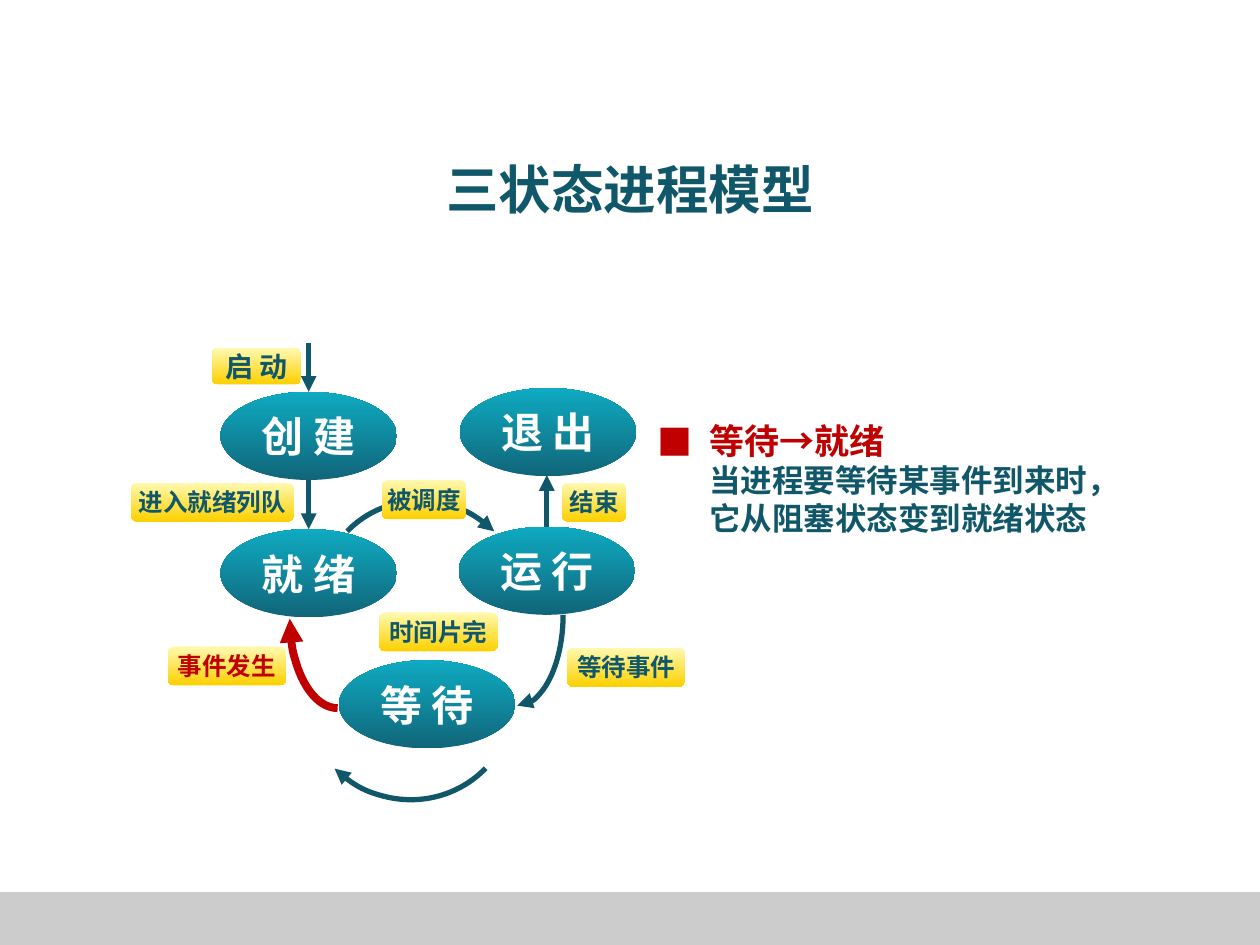
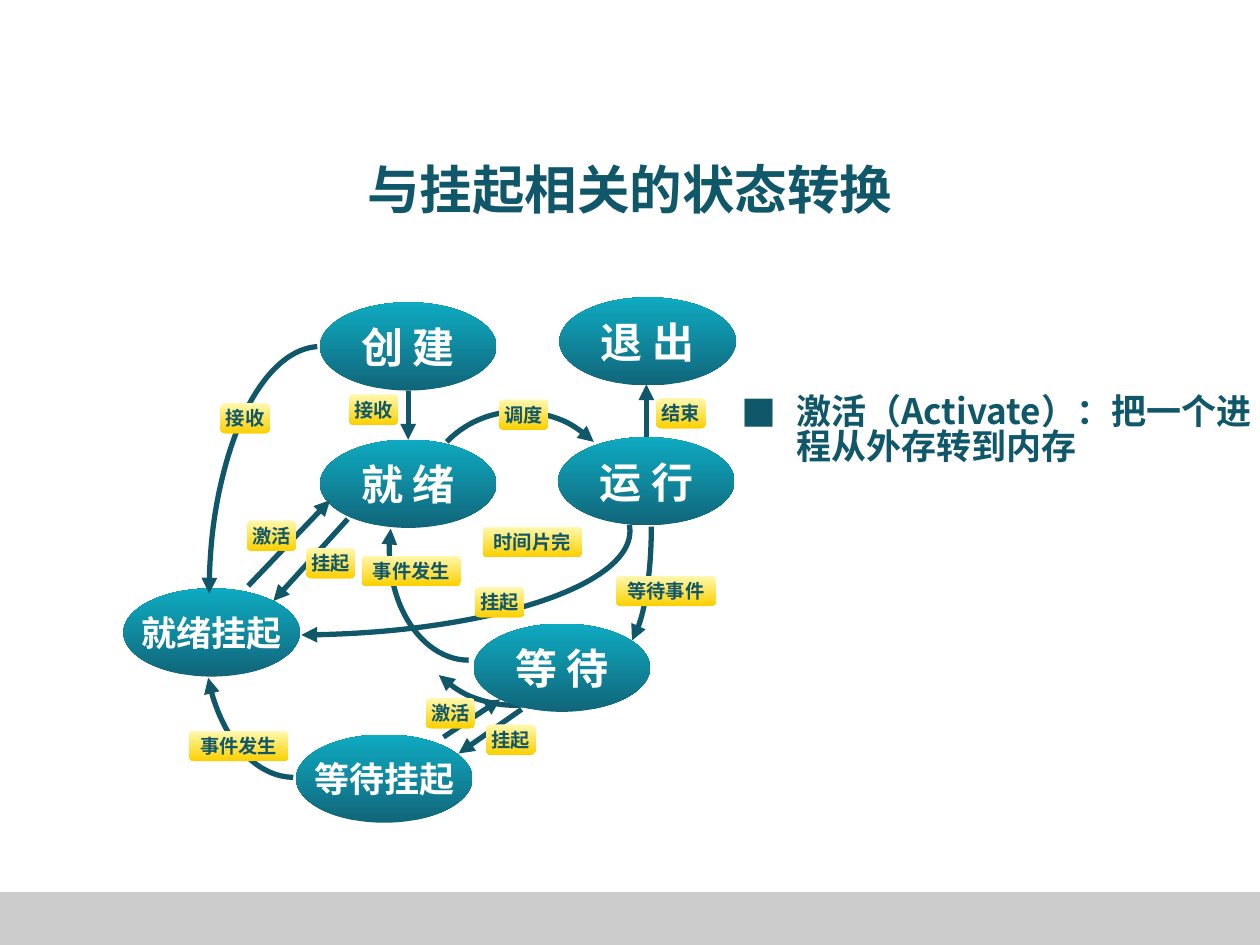
import lxml.etree
import pptx
import pptx.dml.color
import pptx.enum.shapes
import pptx.enum.text
import pptx.oxml.ns
import pptx.util

Inches, Pt = pptx.util.Inches, pptx.util.Pt
SHAPE = pptx.enum.shapes.MSO_SHAPE
ALIGN = pptx.enum.text.PP_ALIGN
MIDDLE = pptx.enum.text.MSO_ANCHOR.MIDDLE
qn = pptx.oxml.ns.qn


def rgb(value):
    return pptx.dml.color.RGBColor.from_string(value)


def add_element(parent, tag, **attributes):
    return lxml.etree.SubElement(parent, qn(tag), attributes)


class StateDiagram:
    """Shared style plus the slide being drawn."""

    FONT = "Noto Sans CJK SC"
    BULLET_FONT = "Noto Sans CJK JP"
    TEAL, RED, WHITE, BAND = "11576A", "C00000", "FFFFFF", "CCCCCC"
    OVAL_STOPS = ((0, "116579"), (77, "0F9BB1"), (100, "0EABC2"))
    LABEL_STOPS = ((0, "FFF9B1"), (100, "FDD000"))
    UP, DOWN = 270, 90
    OVAL_WIDTH, OVAL_HEIGHT = 1.4, 0.7

    def __init__(self, presentation):
        self.presentation = presentation
        self.slide = None

    def new_slide(self, title):
        layout = self.presentation.slide_layouts[5]
        self.slide = self.presentation.slides.add_slide(layout)
        band = self.shape(SHAPE.RECTANGLE, (0, 7.08, 10, 0.42))
        band.fill.solid()
        band.fill.fore_color.rgb = rgb(self.BAND)
        band.line.fill.background()
        heading = self.slide.shapes.title
        heading.left, heading.top = Inches(0.75), Inches(1.04)
        heading.width, heading.height = Inches(8.5), Inches(0.92)
        heading.text_frame.vertical_anchor = MIDDLE
        heading.text_frame.text = title
        self.style(heading.text_frame.paragraphs[0], 30, self.TEAL, ALIGN.CENTER)

    def style(self, paragraph, size, color, alignment=ALIGN.LEFT):
        paragraph.alignment = alignment
        font = paragraph.font
        font.size, font.bold, font.name = Pt(size), True, self.FONT
        font.color.rgb = rgb(color)
        defaults = paragraph._p.pPr.find(qn("a:defRPr"))
        add_element(defaults, "a:ea", typeface=self.FONT)

    def shape(self, kind, box):
        shape = self.slide.shapes.add_shape(kind, *map(Inches, box))
        shape.shadow.inherit = False
        return shape

    def gradient(self, shape, stops, direction):
        shape.line.fill.background()
        fill = lxml.etree.Element(qn("a:gradFill"), rotWithShape="1")
        stop_list = add_element(fill, "a:gsLst")
        for position, color in stops:
            stop = add_element(stop_list, "a:gs", pos=str(position * 1000))
            add_element(stop, "a:srgbClr", val=color)
        add_element(fill, "a:lin", ang=str(direction * 60000), scaled="1")
        shape._element.spPr.find(qn("a:prstGeom")).addnext(fill)

    def caption(self, shape, text, size, color):
        """Centre one unwrapped line of text in a shape."""
        frame = shape.text_frame
        frame.word_wrap = False
        frame.vertical_anchor = MIDDLE
        frame.margin_left = frame.margin_right = 0
        frame.margin_top = frame.margin_bottom = 0
        frame.text = text
        self.style(frame.paragraphs[0], size, color, ALIGN.CENTER)

    def state(self, text, left, top, size=24):
        oval = self.shape(SHAPE.OVAL, (left, top, self.OVAL_WIDTH, self.OVAL_HEIGHT))
        self.gradient(oval, self.OVAL_STOPS, self.UP)
        self.caption(oval, text, size, self.WHITE)
        return oval

    def label(self, text, box, size, color=TEAL):
        plate = self.shape(SHAPE.ROUNDED_RECTANGLE, box)
        self.gradient(plate, self.LABEL_STOPS, self.DOWN)
        self.caption(plate, text, size, color)

    def arrow_line(self, shape, color, width, end):
        shape.line.color.rgb = rgb(color)
        shape.line.width = Pt(width)
        add_element(shape.line._get_or_add_ln(), f"a:{end}End", type="triangle")

    def arc(self, box, start=270, stop=0, rotation=0, color=TEAL, width=3, end="tail"):
        """Draw a clockwise arc between two angles in degrees, with one arrowhead."""
        arc = self.shape(SHAPE.ARC, box)
        arc.fill.background()
        arc.rotation = rotation
        # python-pptx scales adjustments by 100000; arc angles are 60000ths of a degree
        arc.adjustments[0], arc.adjustments[1] = start * 0.6, stop * 0.6
        self.arrow_line(arc, color, width, end)

    def arrow(self, begin, end, from_top_of=None, to_top_of=None):
        connector = self.slide.shapes.add_connector(
            pptx.enum.shapes.MSO_CONNECTOR.STRAIGHT, *map(Inches, begin + end))
        if from_top_of is not None:
            connector.begin_connect(from_top_of, 0)
        if to_top_of is not None:
            connector.end_connect(to_top_of, 0)
        self.arrow_line(connector, self.TEAL, 3, "tail")
        add_element(connector._element.spPr, "a:effectLst")

    def note(self, box, indent, paragraphs):
        """Add (text, size, colour, line spacing) paragraphs; the first has a square bullet."""
        frame = self.slide.shapes.add_textbox(*map(Inches, box)).text_frame
        frame.word_wrap = True
        for index, (text, size, color, spacing) in enumerate(paragraphs):
            paragraph = frame.add_paragraph() if index else frame.paragraphs[0]
            paragraph.text = text
            paragraph.line_spacing = Pt(spacing)
            self.style(paragraph, size, color)
            properties = paragraph._p.pPr
            properties.set("marL", str(Inches(indent)))
            if index == 0:
                properties.set("indent", str(-Inches(indent)))
                defaults = properties.find(qn("a:defRPr"))
                for tag, attributes in (("a:buFont", {"typeface": self.BULLET_FONT}),
                                        ("a:buChar", {"char": "■"})):
                    defaults.addprevious(lxml.etree.Element(qn(tag), attributes))


def three_state_slide(diagram):
    diagram.new_slide("三状态进程模型")
    diagram.note((5.12, 3.28, 3.82, 1.04), 0.41, [
        ("等待→就绪", 20, diagram.RED, 24),
        ("当进程要等待某事件到来时，它从阻塞状态变到就绪状态", 18, diagram.TEAL, 21.6),
    ])
    created = diagram.state("创 建", 1.75, 3.11)
    ready = diagram.state("就 绪", 1.75, 4.2)
    running = diagram.state("运 行", 3.64, 4.18)
    diagram.state("等 待", 2.69, 5.24)
    diagram.state("退 出", 3.65, 3.08)

    diagram.arc((2.4, 4.64, 1.67, 1.72), rotation=134)
    diagram.arc((2.55, 3.96, 1.62, 1.68), rotation=314)
    diagram.arc((3.74, 4.15, 0.73, 1.45), 0.9, 90)
    diagram.arc((2.3, 4.19, 0.76, 1.43), 90, 179.1, color=diagram.RED, width=4.5)
    diagram.arrow((2.45, 2.72), (2.45, 3.11), to_top_of=created)
    diagram.arrow((2.45, 3.81), (2.45, 4.2), to_top_of=ready)
    diagram.arrow((4.34, 4.18), (4.34, 3.77), from_top_of=running)

    diagram.label("启 动", (1.68, 2.76, 0.71, 0.29), 16)
    for text, left, top, width, color in (
        ("进入就绪列队", 1.04, 3.83, 1.29, diagram.TEAL),
        ("被调度", 3.03, 3.81, 0.67, diagram.TEAL),
        ("时间片完", 3.01, 4.86, 0.94, diagram.TEAL),
        ("事件发生", 1.33, 5.13, 0.94, diagram.RED),
        ("结束", 4.46, 3.83, 0.51, diagram.TEAL),
        ("等待事件", 4.5, 5.14, 0.94, diagram.TEAL),
    ):
        diagram.label(text, (left, top, width, 0.31), 14, color)


def suspend_slide(diagram):
    diagram.new_slide("与挂起相关的状态转换")
    diagram.arc((4.67, 3.2, 0.5, 1.96), 0.13, 83.91)
    diagram.arc((3.22, 3.89, 1.67, 1.72), 267.64, 359.27, rotation=134)
    diagram.state("创 建", 2.54, 2.4)
    ready = diagram.state("就 绪", 2.54, 3.49)
    running = diagram.state("运 行", 4.43, 3.47)
    diagram.state("等 待", 3.76, 4.95)
    diagram.state("退 出", 4.44, 2.36)
    diagram.state("就绪挂起", 0.98, 4.67, 20)
    diagram.state("等待挂起", 2.35, 5.83, 20)

    diagram.arc((3.34, 3.25, 1.62, 1.68), rotation=314)
    diagram.arc((-0.39, 3.39, 5.39, 1.65), 358.96, 83.95)
    diagram.arc((3.09, 3.48, 1.26, 1.76), 90, 194.77)
    diagram.arc((1.62, 3.92, 1.43, 2.25), 90.37, 153.88)
    diagram.arc((1.66, 2.75, 1.77, 3.95), 180.9, 269.23, end="head")
    diagram.arrow((3.24, 3.1), (3.24, 3.49), to_top_of=ready)
    diagram.arrow((5.13, 3.47), (5.13, 3.05), from_top_of=running)
    for begin, end in (
        ((4.14, 5.63), (3.64, 5.98)),
        ((3.52, 5.85), (3.97, 5.55)),
        ((1.97, 4.65), (2.62, 3.97)),
        ((2.76, 4.12), (2.17, 4.77)),
    ):
        diagram.arrow(begin, end)

    for text, left, top in (
        ("挂起", 3.77, 4.66), ("接收", 1.75, 3.2), ("事件发生", 1.5, 5.8),
        ("接收", 2.77, 3.13), ("激活", 1.96, 4.13), ("挂起", 2.43, 4.35),
        ("事件发生", 2.87, 4.41), ("激活", 3.38, 5.54), ("挂起", 3.86, 5.75),
        ("等待事件", 4.89, 4.57), ("时间片完", 3.83, 4.18), ("调度", 3.96, 3.17),
        ("结束", 5.21, 3.16),
    ):
        width = 0.39 if len(text) == 2 else 0.79
        diagram.label(text, (left, top, width, 0.24), 11)
    diagram.note((5.79, 3.1, 4.33, 0.86), 0.43, [
        ("激活（Activate）：把一个进程从外存转到内存", 20, diagram.TEAL, 20),
    ])


def main():
    presentation = pptx.Presentation()
    presentation.slide_width, presentation.slide_height = Inches(10), Inches(7.5)
    diagram = StateDiagram(presentation)
    three_state_slide(diagram)
    suspend_slide(diagram)
    presentation.save("out.pptx")


if __name__ == "__main__":
    main()
